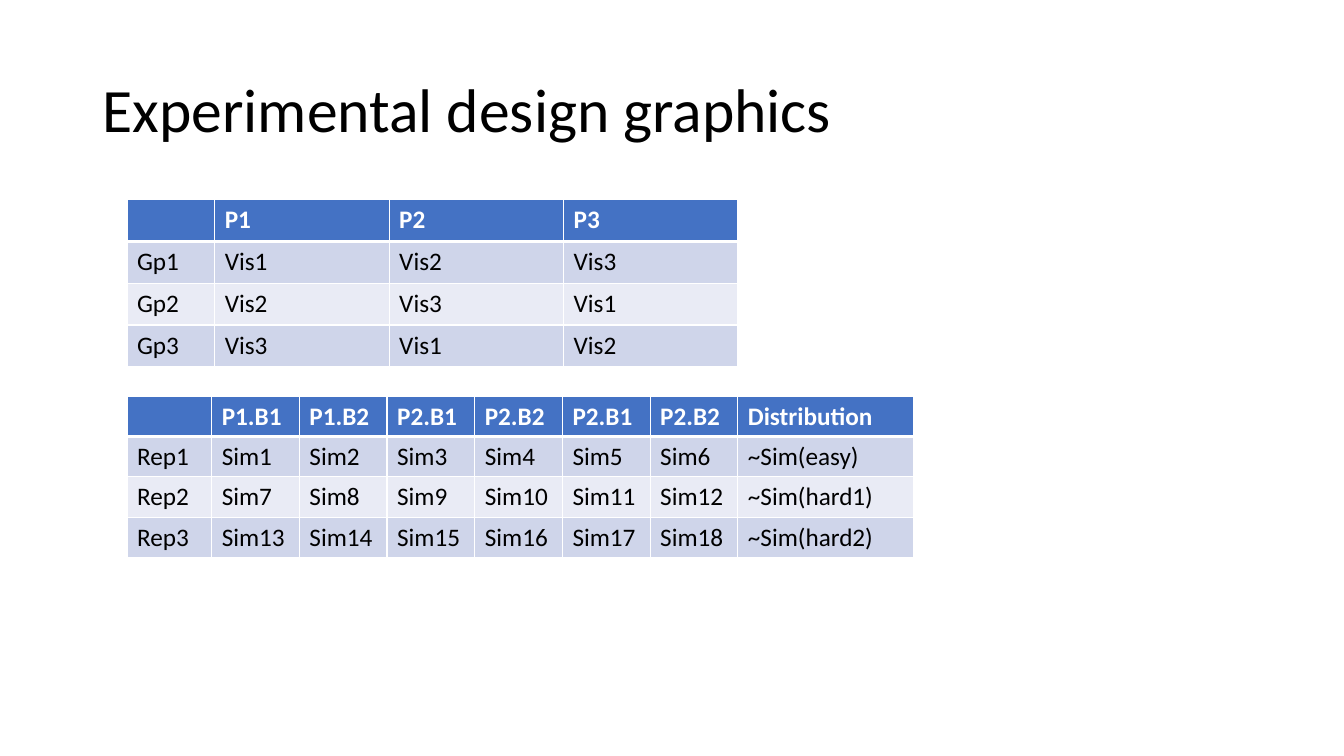
from lxml.etree import SubElement
from pptx import Presentation
from pptx.dml.color import RGBColor
from pptx.enum.text import MSO_ANCHOR
from pptx.oxml import parse_xml
from pptx.oxml.ns import nsdecls, qn
from pptx.util import Inches, Pt

FONT = "Calibri"
COLORS = {
    "text": "000000",
    "header_text": "FFFFFF",
    "header": "4472C4",
    "odd_row": "CFD5EA",
    "even_row": "E9EBF5",
    "border": "FFFFFF",
}


def color(name):
    return RGBColor.from_string(COLORS[name])


def style_paragraph(paragraph, size, color_name, bold=False):
    paragraph.font.name = FONT
    paragraph.font.size = Pt(size)
    paragraph.font.bold = bold
    paragraph.font.color.rgb = color(color_name)


def add_title(slide, text):
    shape = slide.shapes.add_textbox(Inches(0.92), Inches(0.39), Inches(11.5), Inches(1.45))
    frame = shape.text_frame
    frame.word_wrap = True
    frame.vertical_anchor = MSO_ANCHOR.MIDDLE
    paragraph = frame.paragraphs[0]
    paragraph.text = text
    paragraph.line_spacing = 0.9
    style_paragraph(paragraph, 44, "text")


def set_borders(cell, top, bottom):
    properties = cell._tc.get_or_add_tcPr()
    widths = {"lnL": 1, "lnR": 1, "lnT": top, "lnB": bottom}
    for index, (side, width) in enumerate(widths.items()):
        line = parse_xml(f'<a:{side} {nsdecls("a")} w="{Pt(width)}"/>')
        fill = SubElement(line, qn("a:solidFill"))
        SubElement(fill, qn("a:srgbClr"), val=COLORS["border"])
        properties.insert(index, line)


def style_cell(cell, row):
    is_header = row == 0
    fill_name = "header" if is_header else "odd_row" if row % 2 else "even_row"
    cell.fill.solid()
    cell.fill.fore_color.rgb = color(fill_name)
    text_name = "header_text" if is_header else "text"
    style_paragraph(cell.text_frame.paragraphs[0], 18, text_name, bold=is_header)
    set_borders(cell, top=3 if row == 1 else 1, bottom=3 if is_header else 1)


def add_design_table(slide, top, column_widths, row_height, rows):
    frame = slide.shapes.add_table(
        len(rows), len(column_widths), Inches(1.26), Inches(top),
        Inches(sum(column_widths)), Inches(row_height * len(rows)),
    )
    table = frame.table
    for column, width in zip(table.columns, column_widths):
        column.width = Inches(width)
    for row, texts in enumerate(rows):
        for column, text in enumerate(texts):
            cell = table.cell(row, column)
            cell.text = text
            style_cell(cell, row)


def group_rows():
    rows = [["", "P1", "P2", "P3"]]
    for group in range(3):
        visuals = [f"Vis{(group + period) % 3 + 1}" for period in range(3)]
        rows.append([f"Gp{group + 1}", *visuals])
    return rows


def replicate_rows():
    blocks = [f"P{period}.B{block}" for period in (1, 2, 2) for block in (1, 2)]
    rows = [["", *blocks, "Distribution"]]
    for replicate, level in enumerate(("easy", "hard1", "hard2")):
        first = replicate * len(blocks) + 1
        simulations = [f"Sim{number}" for number in range(first, first + len(blocks))]
        rows.append([f"Rep{replicate + 1}", *simulations, f"~Sim({level})"])
    return rows


def main():
    presentation = Presentation()
    presentation.slide_width = Inches(13.33)
    presentation.slide_height = Inches(7.5)
    slide = presentation.slides.add_slide(presentation.slide_layouts[6])
    add_title(slide, "Experimental design graphics")
    add_design_table(slide, 1.98, [0.87] + [1.73] * 3, 0.415, group_rows())
    add_design_table(slide, 3.93, [0.84] + [0.87] * 6 + [1.74], 0.4, replicate_rows())
    presentation.save("out.pptx")


main()
